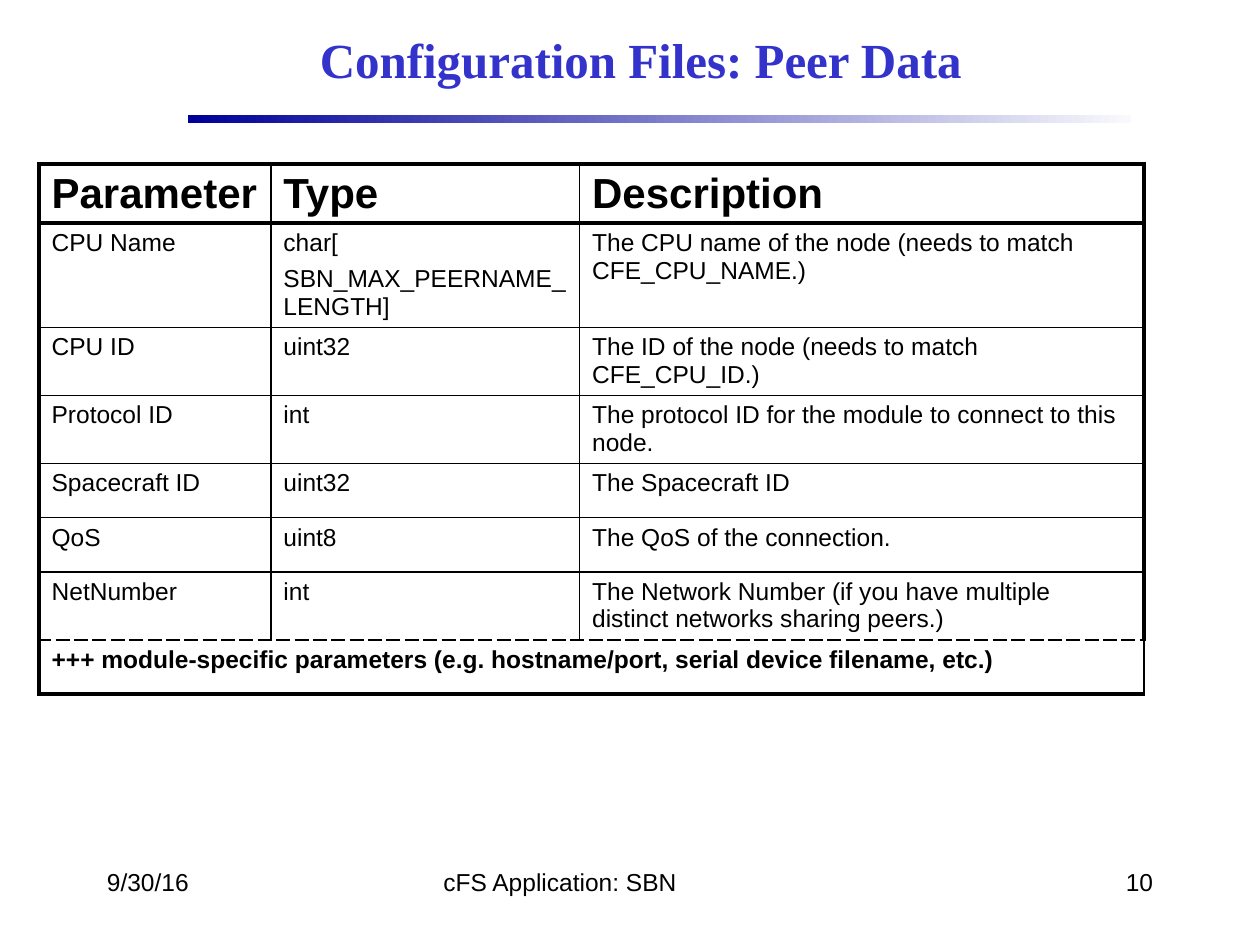
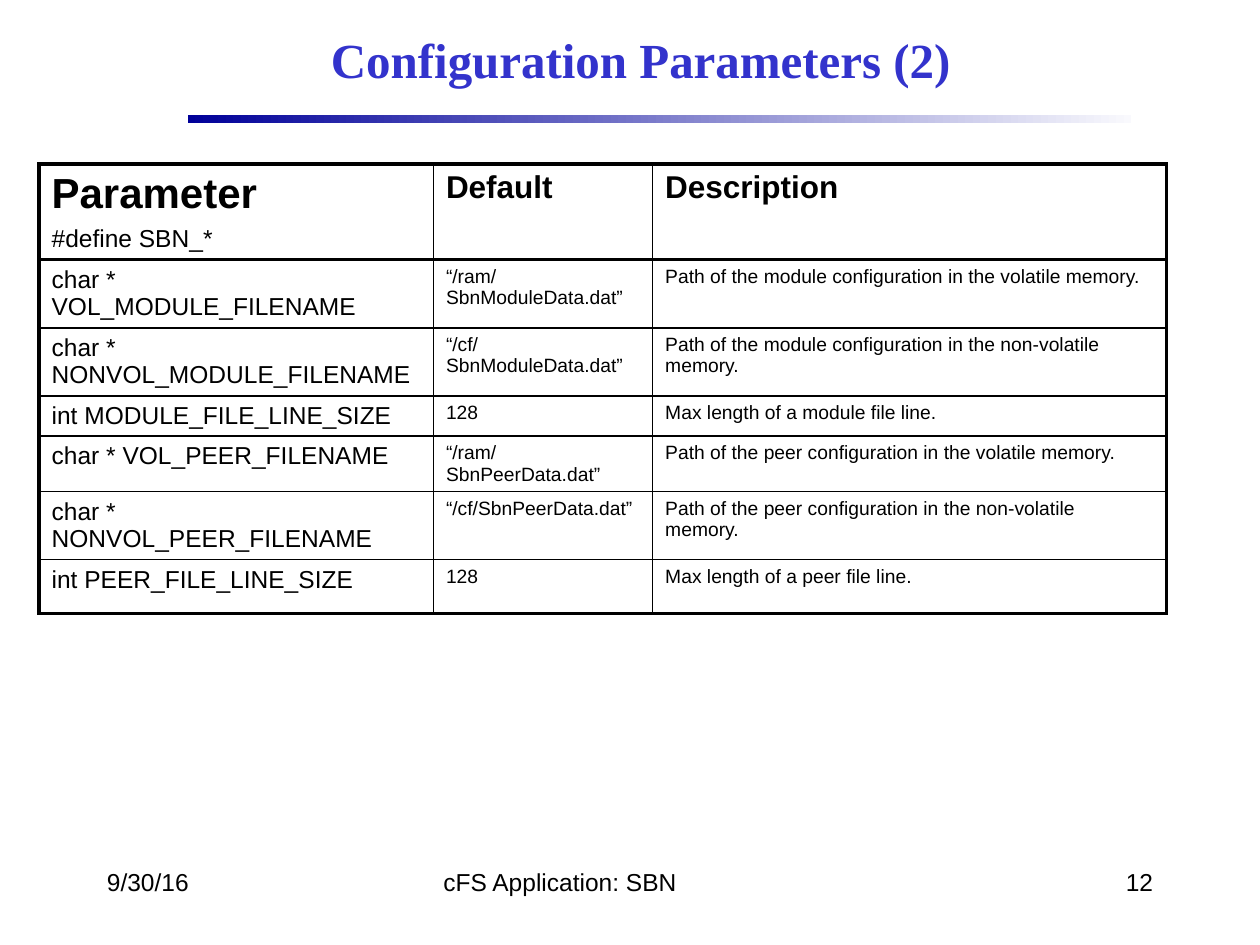
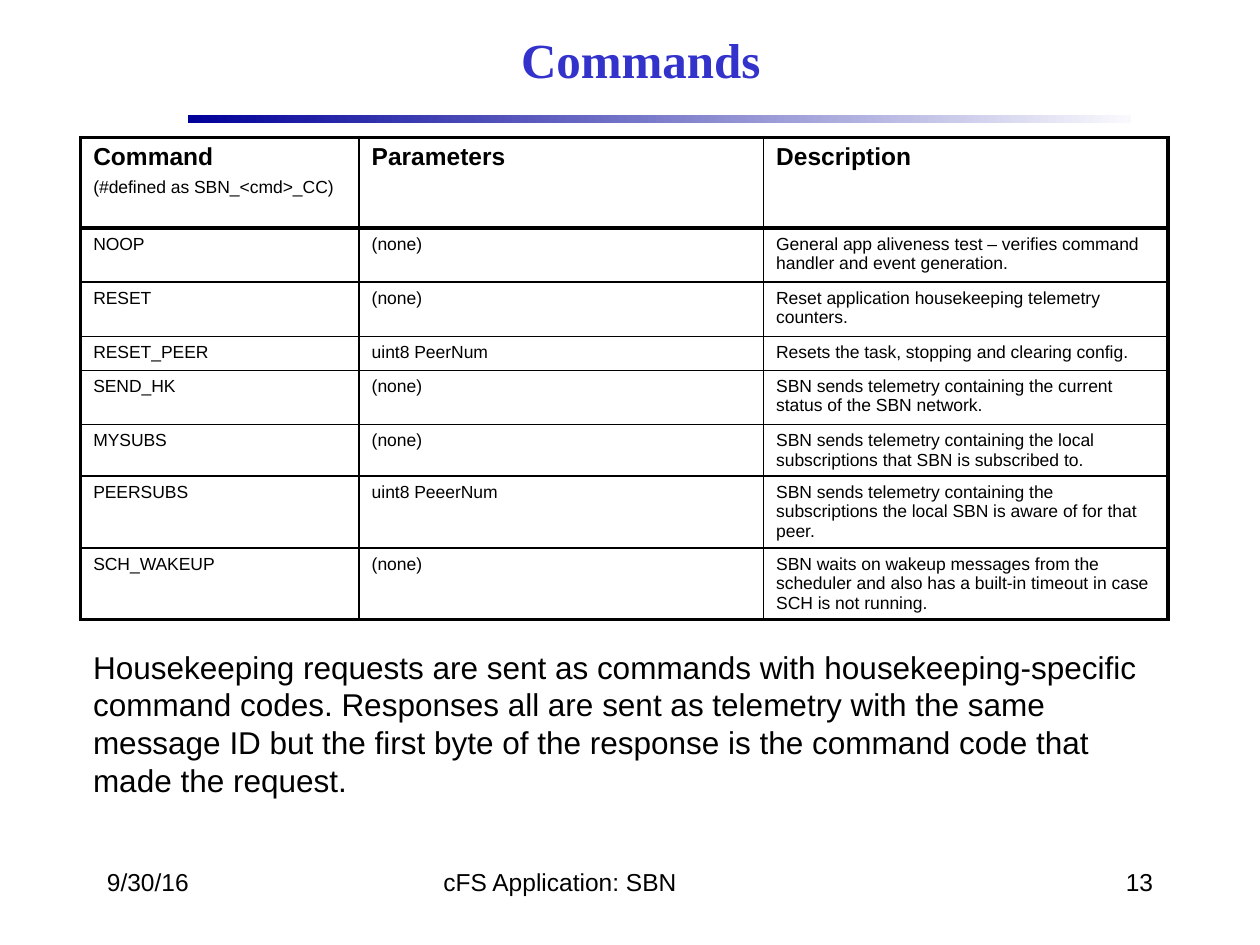
import pptx
import pptx.dml.color
import pptx.enum.shapes
import pptx.enum.text
import pptx.oxml
import pptx.oxml.ns
import pptx.util

Inches = pptx.util.Inches
Pt = pptx.util.Pt
Color = pptx.dml.color.RGBColor
Align = pptx.enum.text.PP_ALIGN
Anchor = pptx.enum.text.MSO_ANCHOR

BLACK = Color(0x00, 0x00, 0x00)
WHITE = Color(0xFF, 0xFF, 0xFF)
BLUE = Color(0x33, 0x33, 0xCC)
NAVY = Color(0x00, 0x00, 0x99)
PALE = Color(0xF9, 0xF9, 0xFD)
BODY, SERIF = "Arial", "Times New Roman"
THICK, THIN = 2.25, 1
GAP = 0.35  # space above a later paragraph, as a share of its text size


def write(frame, text, size=14, font=BODY, color=BLACK, bold=False,
          align=Align.LEFT, sub=None):
    """Fill a frame, one paragraph a line; sub is the plain size of later lines."""
    frame.word_wrap = True
    for row, line in enumerate(text.split("\n")):
        para = frame.add_paragraph() if row else frame.paragraphs[0]
        para.alignment = align
        run = para.add_run()
        run.text = line
        later = row and sub
        points = sub if later else size
        if row:
            para.space_before = Pt(GAP * points)
        run.font.size = Pt(points)
        run.font.name = font
        run.font.bold = bool(bold and not later)
        run.font.color.rgb = color


def edge(cell, sides):
    """Draw cell borders; sides gives (width, dash) for left, right, top, bottom."""
    props = cell._tc.get_or_add_tcPr()
    for place, (side, (width, dash)) in enumerate(zip("LRTB", sides)):
        line = pptx.oxml.parse_xml(
            f'<a:ln{side} {pptx.oxml.ns.nsdecls("a")} w="{Pt(width)}">'
            f'<a:solidFill><a:srgbClr val="{BLACK}"/></a:solidFill>'
            f'<a:prstDash val="{dash}"/></a:ln{side}>')
        props.insert(place, line)


class Deck:
    """Holds the presentation, its style and the current slide."""

    def __init__(self):
        """Start an empty deck."""
        self.show = pptx.Presentation()
        self.show.slide_width = Inches(10)
        self.show.slide_height = Inches(7.5)
        self.slide = None

    def page(self, title, number):
        """Add a slide with its rule, title and footer."""
        self.slide = self.show.slides.add_slide(self.show.slide_layouts[6])
        self.rule()
        self.text(title, 1.5, 0.09, 7.17, 0.75, size=28, font=SERIF,
                  color=BLUE, bold=True, align=Align.CENTER,
                  anchor=Anchor.MIDDLE)
        self.text("9/30/16", 0.75, 6.83, 2.08, 0.5)
        self.text("cFS Application: SBN", 3.42, 6.83, 3.17, 0.5)
        self.text(str(number), 7.17, 6.83, 2.08, 0.5, align=Align.RIGHT)

    def rule(self):
        """Draw the fading band under the title."""
        band = self.slide.shapes.add_shape(
            pptx.enum.shapes.MSO_SHAPE.RECTANGLE,
            Inches(1.49), Inches(0.91), Inches(7.49), Inches(0.07))
        band.shadow.inherit = False
        band.line.fill.background()
        band.fill.gradient()
        band.fill.gradient_angle = 0
        for stop, color in zip(band.fill.gradient_stops, (NAVY, PALE)):
            stop.color.rgb = color

    def text(self, text, left, top, width, height, anchor=Anchor.TOP, **style):
        """Add a text box."""
        box = self.slide.shapes.add_textbox(
            Inches(left), Inches(top), Inches(width), Inches(height))
        box.text_frame.vertical_anchor = anchor
        write(box.text_frame, text, **style)

    def table(self, left, top, cols, rows, data, heads, sizes,
              fill=None, note=False):
        """Add a ruled table; heads and sizes are text sizes by column.

        With note, the last row is one bold cell under a dashed line.
        """
        grid = self.slide.shapes.add_table(
            len(rows), len(cols), Inches(left), Inches(top),
            Inches(sum(cols)), Inches(sum(rows))).table
        grid.first_row = grid.horz_banding = False
        for col, width in zip(grid.columns, cols):
            col.width = Inches(width)
        for row, height in zip(grid.rows, rows):
            row.height = Inches(height)
        end, last = len(rows) - 1, len(cols) - 1
        if note:
            grid.cell(end, 0).merge(grid.cell(end, last))

        def level(row):
            """Give the style of the line above a row."""
            if row in (0, 1, end + 1):
                return THICK, "solid"
            return THIN, "dash" if note and row == end else "solid"

        def post(col):
            """Give the style of the line left of a column."""
            return THICK if col in (0, last + 1) else THIN, "solid"

        for r in range(end + 1):
            for c in range(last + 1):
                cell = grid.cell(r, c)
                # A small bottom margin lets the row heights hold.
                cell.margin_bottom = Inches(0.01)
                if fill is None:
                    cell.fill.background()
                else:
                    cell.fill.solid()
                    cell.fill.fore_color.rgb = fill
                edge(cell, (post(c), post(c + 1), level(r), level(r + 1)))
                if c < len(data[r]):
                    write(cell.text_frame, data[r][c],
                          size=sizes[c] if r else heads[c],
                          bold=r == 0 or (note and r == end),
                          sub=None if r else sizes[c])


PEERS = [
    ("Parameter", "Type", "Description"),
    ("CPU Name", "char[\nSBN_MAX_PEERNAME_LENGTH]",
     "The CPU name of the node (needs to match CFE_CPU_NAME.)"),
    ("CPU ID", "uint32", "The ID of the node (needs to match CFE_CPU_ID.)"),
    ("Protocol ID", "int",
     "The protocol ID for the module to connect to this node."),
    ("Spacecraft ID", "uint32", "The Spacecraft ID"),
    ("QoS", "uint8", "The QoS of the connection."),
    ("NetNumber", "int", "The Network Number (if you have multiple distinct "
     "networks sharing peers.)"),
    ("+++ module-specific parameters (e.g. hostname/port, serial device "
     "filename, etc.)",),
]
PARAMS = [
    ("Parameter\n#define SBN_*", "Default", "Description"),
    ("char * VOL_MODULE_FILENAME", "“/ram/SbnModuleData.dat”",
     "Path of the module configuration in the volatile memory."),
    ("char * NONVOL_MODULE_FILENAME", "“/cf/SbnModuleData.dat”",
     "Path of the module configuration in the non-volatile memory."),
    ("int MODULE_FILE_LINE_SIZE", "128", "Max length of a module file line."),
    ("char * VOL_PEER_FILENAME", "“/ram/SbnPeerData.dat”",
     "Path of the peer configuration in the volatile memory."),
    ("char * NONVOL_PEER_FILENAME", "“/cf/SbnPeerData.dat”",
     "Path of the peer configuration in the non-volatile memory."),
    ("int PEER_FILE_LINE_SIZE", "128", "Max length of a peer file line."),
]
CALLS = [
    ("Command\n(#defined as SBN_<cmd>_CC)", "Parameters", "Description"),
    ("NOOP", "(none)", "General app aliveness test – verifies command "
     "handler and event generation."),
    ("RESET", "(none)", "Reset application housekeeping telemetry counters."),
    ("RESET_PEER", "uint8 PeerNum",
     "Resets the task, stopping and clearing config."),
    ("SEND_HK", "(none)", "SBN sends telemetry containing the current status "
     "of the SBN network."),
    ("MYSUBS", "(none)", "SBN sends telemetry containing the local "
     "subscriptions that SBN is subscribed to."),
    ("PEERSUBS", "uint8 PeeerNum", "SBN sends telemetry containing the "
     "subscriptions the local SBN is aware of for that peer."),
    ("SCH_WAKEUP", "(none)", "SBN waits on wakeup messages from the scheduler "
     "and also has a built-in timeout in case SCH is not running."),
]

deck = Deck()

deck.page("Configuration Files: Peer Data", 10)
deck.table(0.31, 1.3, (1.84, 2.45, 4.48),
           (0.47, 0.82, 0.54, 0.54, 0.43, 0.43, 0.54, 0.43), PEERS,
           heads=(24, 24, 24), sizes=(14, 14, 14), note=True)

deck.page("Configuration Parameters (2)", 12)
deck.table(0.31, 1.3, (3.13, 1.74, 4.08),
           (0.76, 0.54, 0.54, 0.32, 0.44, 0.54, 0.43), PARAMS,
           heads=(24, 18, 18), sizes=(14, 11, 11))

deck.page("Commands", 13)
deck.table(0.64, 1.09, (2.21, 3.21, 3.21),
           (0.72, 0.43, 0.43, 0.27, 0.43, 0.41, 0.57, 0.57), CALLS,
           heads=(14, 14, 14), sizes=(10, 10, 10), fill=WHITE)
deck.text("Housekeeping requests are sent as commands with "
          "housekeeping-specific command codes. Responses all are sent as "
          "telemetry with the same message ID but the first byte of the "
          "response is the command code that made the request.",
          0.64, 5.09, 8.62, 1.36, size=18)

deck.show.save("out.pptx")
